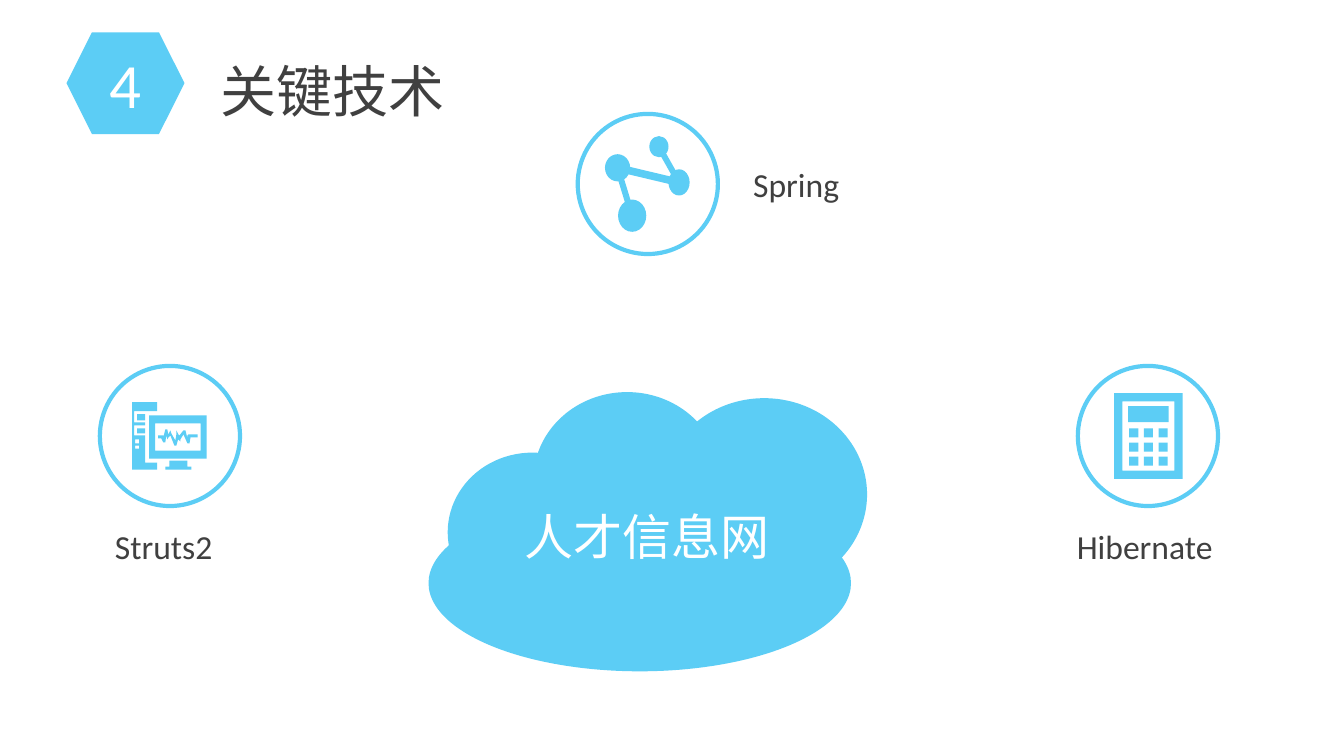
"""Builds the key technologies slide."""
from itertools import product

from lxml.etree import SubElement
from pptx import Presentation
from pptx.dml.color import RGBColor
from pptx.enum.shapes import MSO_CONNECTOR as Link, MSO_SHAPE as Preset
from pptx.enum.text import MSO_ANCHOR as Anchor, MSO_AUTO_SIZE as Fit, PP_ALIGN as Align
from pptx.oxml.ns import qn
from pptx.util import Inches, Pt

THEME = {
    "sky": RGBColor(0x5C, 0xCD, 0xF5),
    "white": RGBColor(0xFF, 0xFF, 0xFF),
    "ink": RGBColor(0x40, 0x40, 0x40),
    "latin": "Calibri",
    "cjk": "Noto Sans CJK SC",
    "number": 45, "title": 40, "cloud": 35, "label": 24, "ring": 3,
}

TITLE = ("关键技术", (2.14, 0.51, 2.74, 0.77))
NUMBER = ("4", (0.66, 0.32, 1.17, 1.01))
CLOUD_TEXT = ("人才信息网", (5.15, 4.98, 2.54, 0.59))
CLOUD_PUFFS = [
    (4.25, 4.91, 4.19, 1.75), (4.44, 4.49, 1.68, 1.58),
    (5.29, 3.89, 1.86, 1.74), (6.56, 3.95, 2.04, 1.91),
]
RING_SIZE = 1.39
TECHNOLOGIES = [
    ("Spring", (7.42, 1.58, 1.19, 0.49), (5.73, 1.13)),
    ("Struts2", (1.09, 5.17, 1.19, 0.49), (0.99, 3.63)),
    ("Hibernate", (10.63, 5.17, 1.64, 0.49), (10.69, 3.63)),
]
NETWORK_NODES = {
    "left": (6.0, 1.53, 0.25, 0.27), "bottom": (6.13, 1.98, 0.28, 0.32),
    "top": (6.44, 1.35, 0.19, 0.21), "right": (6.63, 1.68, 0.21, 0.26),
}
NETWORK_LINKS = [("left", "right", 5.4), ("left", "bottom", 4.3), ("top", "right", 4.2)]
CALCULATOR_FRAME = (11.05, 3.9, 0.68, 0.85)
CALCULATOR_SCREEN = (11.19, 4.03, 0.4, 0.16)
KEY_ORIGIN, KEY_PITCH, KEY_SIZE = (11.2, 4.25), (0.145, 0.14), 0.09

PULSE = [
    (157, 432), (162, 432), (162, 434), (164, 426), (166, 426), (167, 431), (169, 427),
    (170, 430), (174, 437), (175, 431), (175, 427), (177, 431), (178, 432), (182, 427),
    (184, 427), (186, 435), (186, 432), (187, 431), (196, 431), (196, 434), (189, 434),
    (188, 440), (186, 440), (182, 431), (179, 436), (179, 438), (177, 436), (177, 435),
    (175, 442), (173, 442), (169, 432), (167, 434), (166, 436), (165, 432), (164, 439),
    (162, 439), (160, 435), (157, 435),
]
TOWER = [
    (156, 466), (131, 466), (131, 399), (156, 399), (156, 408), (133, 408), (133, 419),
    (144, 419), (144, 422), (133, 422), (133, 432), (144, 432), (144, 459), (156, 459),
]
STAND = [
    (190, 463), (186, 463), (186, 457), (168, 457), (168, 463), (164, 463), (164, 466),
    (190, 466),
]
COMPUTER_PANELS = [
    (148, 412, 205, 455), (154, 420, 199, 447), (134, 436, 138, 440),
    (134, 442, 138, 445), (136, 411, 144, 417), (136, 425, 144, 430),
]


def inches(values):
    return [Inches(value) for value in values]


def paint(shape, fill, line=None):
    shape.shadow.inherit = False
    shape.fill.solid()
    shape.fill.fore_color.rgb = fill
    if line is None:
        shape.line.fill.background()
    else:
        shape.line.color.rgb = line
        shape.line.width = Pt(THEME["ring"])
    return shape


def add_preset(page, preset, place, fill="sky", line=None):
    shape = page.shapes.add_shape(preset, *inches(place))
    return paint(shape, THEME[fill], THEME.get(line))


def write(box, text, role, color, font="latin", align=Align.LEFT, inset=0.05, **frame_format):
    frame = box.text_frame
    sides = ("margin_left", "margin_top", "margin_right", "margin_bottom")
    settings = {side: Inches(inset) for side in sides}
    settings |= {"word_wrap": True, "vertical_anchor": Anchor.TOP} | frame_format
    for name, value in settings.items():
        setattr(frame, name, value)
    para = frame.paragraphs[0]
    para.alignment = align
    span = para.add_run()
    span.text = text
    for name, value in {"size": Pt(THEME[role]), "name": THEME[font], "bold": False}.items():
        setattr(span.font, name, value)
    span.font.color.rgb = THEME[color]
    SubElement(span.font._element, qn("a:ea"), typeface=THEME["cjk"])


def add_text(page, text, place, role, color, **frame_format):
    box = page.shapes.add_textbox(*inches(place))
    write(box, text, role, color, auto_size=Fit.SHAPE_TO_FIT_TEXT, **frame_format)


def add_header(page):
    text, place = NUMBER
    hexagon = add_preset(page, Preset.HEXAGON, place)
    hexagon.adjustments[0] = 0.25
    write(hexagon, text, "number", "white", align=Align.CENTER, inset=0,
          vertical_anchor=Anchor.MIDDLE)
    text, place = TITLE
    title = page.shapes.title
    for name, value in zip(("left", "top", "width", "height"), inches(place)):
        setattr(title, name, value)
    write(title, text, "title", "ink", font="cjk", auto_size=Fit.SHAPE_TO_FIT_TEXT)


def add_cloud(page):
    for place in CLOUD_PUFFS:
        add_preset(page, Preset.OVAL, place)
    add_text(page, *CLOUD_TEXT, "cloud", "white", word_wrap=False)


def add_network(page):
    centers = {name: (left + width / 2, top + height / 2)
               for name, (left, top, width, height) in NETWORK_NODES.items()}
    for start, end, weight in NETWORK_LINKS:
        link = page.shapes.add_connector(
            Link.STRAIGHT, *inches(centers[start] + centers[end]))
        link.line.color.rgb = THEME["sky"]
        link.line.width = Pt(weight)
        SubElement(link._element.spPr, qn("a:effectLst"))
    for place in NETWORK_NODES.values():
        add_preset(page, Preset.OVAL, place)


def add_computer(page):
    panels = [[(left, top), (right, top), (right, bottom), (left, bottom)]
              for left, top, right, bottom in COMPUTER_PANELS]
    outlines = [TOWER, STAND, PULSE, *panels]
    builder = page.shapes.build_freeform(*outlines[0][0], scale=Inches(0.01))
    for index, outline in enumerate(outlines):
        if index:
            builder.move_to(*outline[0])
        builder.add_line_segments(outline[1:], close=True)
    paint(builder.convert_to_shape(), THEME["sky"])


def add_calculator(page):
    body = add_preset(page, Preset.FRAME, CALCULATOR_FRAME)
    body.adjustments[0] = 0.12
    add_preset(page, Preset.RECTANGLE, CALCULATOR_SCREEN)
    for row, column in product(range(3), repeat=2):
        left = KEY_ORIGIN[0] + column * KEY_PITCH[0]
        top = KEY_ORIGIN[1] + row * KEY_PITCH[1]
        add_preset(page, Preset.RECTANGLE, (left, top, KEY_SIZE, KEY_SIZE))


def main():
    deck = Presentation()
    deck.slide_width, deck.slide_height = Inches(13.33), Inches(7.5)
    page = deck.slides.add_slide(deck.slide_layouts[5])
    add_header(page)
    add_cloud(page)
    for (name, place, corner), add_icon in zip(
            TECHNOLOGIES, (add_network, add_computer, add_calculator)):
        add_text(page, name, place, "label", "ink")
        add_preset(page, Preset.OVAL, (*corner, RING_SIZE, RING_SIZE), "white", "sky")
        add_icon(page)
    deck.save("out.pptx")


if __name__ == "__main__":
    main()
